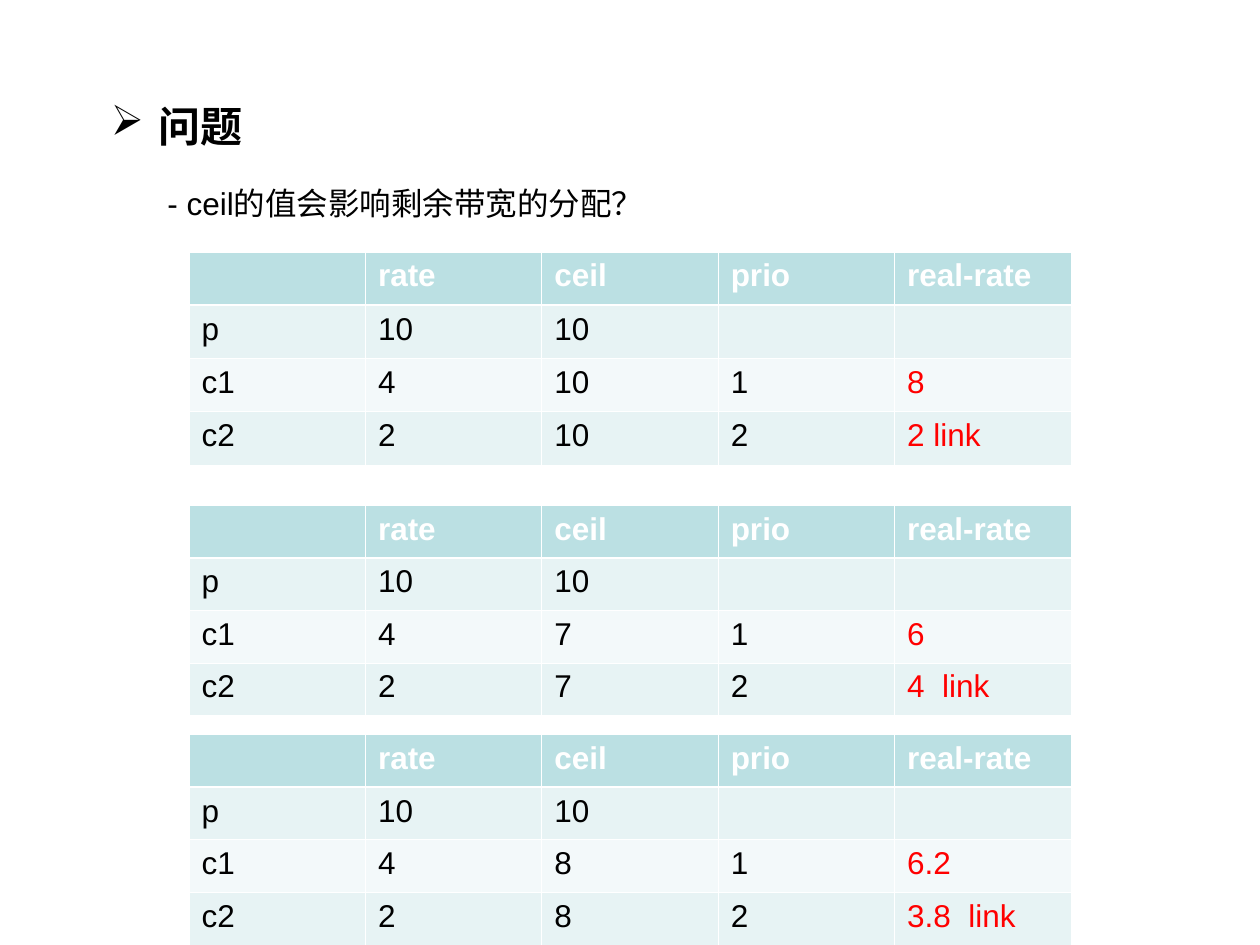
from dataclasses import dataclass

from lxml import etree
from pptx import Presentation
from pptx import util as u
from pptx.dml.color import RGBColor
from pptx.enum import text
from pptx.oxml.ns import qn


@dataclass(frozen=True)
class Theme:
    font: str = "Arial"
    title_size: float = 24
    body_size: float = 18
    ink: str = "000000"
    light: str = "FFFFFF"
    result: str = "FF0000"
    header_fill: str = "BBE0E3"
    bands: tuple[str, str] = ("E7F3F4", "F3F9FA")
    thin: float = 0.45
    thick: float = 1.47


@dataclass(frozen=True)
class Box:
    """An area given as shares of the slide's width and height."""
    left: float
    top: float
    width: float
    height: float


@dataclass(frozen=True)
class RateTable:
    top: float
    height: float
    ceil: str
    real_rates: tuple[str, str]

    def rows(self) -> list[tuple[str, ...]]:
        first, second = self.real_rates
        return [
            ("", "rate", "ceil", "prio", "real-rate"),
            ("p", "10", "10", "", ""),
            ("c1", "4", self.ceil, "1", first),
            ("c2", "2", self.ceil, "2", second),
        ]


THEME = Theme()
WIDTH, HEIGHT = u.Inches(10), u.Inches(7.5)
TITLE_BOX = Box(0.078, 0.1, 0.25, 0.5 / 7.5)
QUESTION_BOX = Box(0.123, 1.41 / 7.5, 0.772, 0.7 / 7.5)
TABLE_LEFT, TABLE_WIDTH = 0.15, 0.7
TABLES = [
    RateTable(2 / 7.5, 1.69 / 7.5, "10", ("8", "2 link")),
    RateTable(4.01 / 7.5, 1.67 / 7.5, "7", ("6", "4  link")),
    RateTable(5.83 / 7.5, 1.67 / 7.5, "8", ("6.2", "3.8  link")),
]


def emu(box: Box) -> dict[str, int]:
    return {
        "left": round(box.left * WIDTH),
        "top": round(box.top * HEIGHT),
        "width": round(box.width * WIDTH),
        "height": round(box.height * HEIGHT),
    }


def write(frame, words: str, color: str, size: float = THEME.body_size,
          bold: bool = False):
    para = frame.paragraphs[0]
    para.alignment = text.PP_ALIGN.LEFT
    span = para.add_run()
    span.text = words
    formats = {"name": THEME.font, "size": u.Pt(size), "bold": bold}
    for name, value in formats.items():
        setattr(span.font, name, value)
    span.font.color.rgb = RGBColor.from_string(color)
    return para


def set_frame(frame) -> None:
    formats = {
        "word_wrap": True,
        "auto_size": text.MSO_AUTO_SIZE.NONE,
        "vertical_anchor": text.MSO_ANCHOR.TOP,
        "margin_left": u.Inches(0.1), "margin_right": u.Inches(0.1),
        "margin_top": u.Inches(0.05), "margin_bottom": u.Inches(0.05),
    }
    for name, value in formats.items():
        setattr(frame, name, value)


def add_bullet(para, mark: str, indent: float) -> None:
    props = para._p.get_or_add_pPr()
    props.set("marL", str(u.Inches(indent)))
    props.set("indent", str(-u.Inches(indent)))
    color = etree.SubElement(props, qn("a:buClr"))
    etree.SubElement(color, qn("a:srgbClr"), val=THEME.ink)
    etree.SubElement(props, qn("a:buChar"), char=mark)


def add_borders(cell, widths: dict[str, float]) -> None:
    props = cell._tc.get_or_add_tcPr()
    for side, width in widths.items():
        line = etree.SubElement(props, qn(f"a:ln{side}"), w=str(u.Pt(width)))
        fill = etree.SubElement(line, qn("a:solidFill"))
        etree.SubElement(fill, qn("a:srgbClr"), val=THEME.light)


def add_rate_table(slide, spec: RateTable) -> None:
    rows = spec.rows()
    area = emu(Box(TABLE_LEFT, spec.top, TABLE_WIDTH, spec.height))
    table = slide.shapes.add_table(len(rows), len(rows[0]), **area).table
    for row, values in enumerate(rows):
        header = row == 0
        widths = dict.fromkeys("LRTB", THEME.thin)
        if row < 2:
            widths["B" if header else "T"] = THEME.thick
        fill = THEME.header_fill if header else THEME.bands[(row - 1) % 2]
        for column, words in enumerate(values):
            cell = table.cell(row, column)
            add_borders(cell, widths)
            cell.fill.solid()
            cell.fill.fore_color.rgb = RGBColor.from_string(fill)
            last = column == len(values) - 1
            color = THEME.light if header else THEME.result if last else THEME.ink
            if words:
                write(cell.text_frame, words, color, bold=header)


def main() -> None:
    deck = Presentation()
    deck.slide_width, deck.slide_height = WIDTH, HEIGHT
    slide = deck.slides.add_slide(deck.slide_layouts.get_by_name("Title Only"))

    title = slide.shapes.title
    for name, value in emu(TITLE_BOX).items():
        setattr(title, name, value)
    set_frame(title.text_frame)
    heading = write(title.text_frame, "问题", THEME.ink, THEME.title_size, True)
    add_bullet(heading, "➢", 0.38)

    question = slide.shapes.add_textbox(**emu(QUESTION_BOX))
    set_frame(question.text_frame)
    write(question.text_frame, "- ceil的值会影响剩余带宽的分配？", THEME.ink)

    for spec in TABLES:
        add_rate_table(slide, spec)
    deck.save("out.pptx")


if __name__ == "__main__":
    main()
